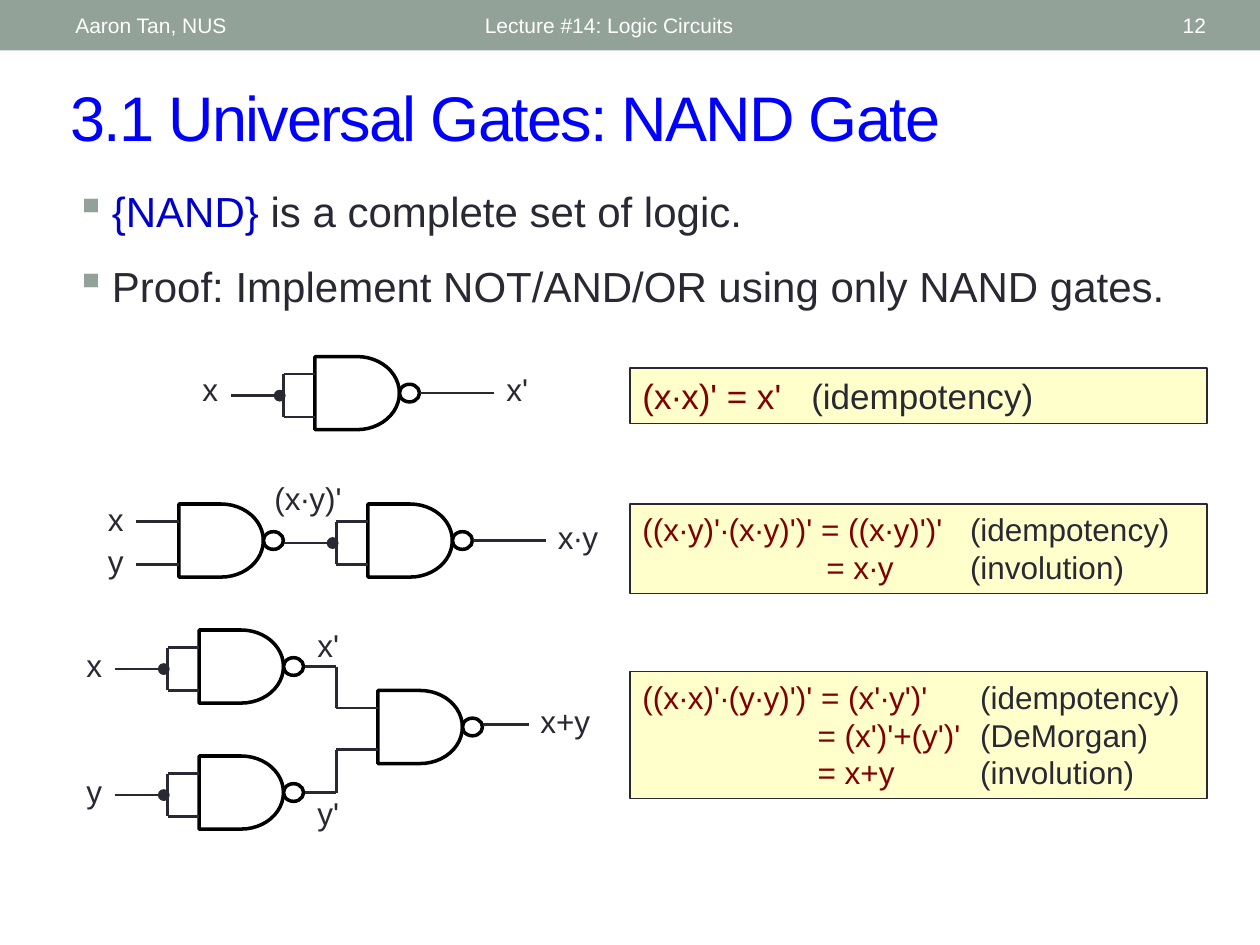
from lxml import etree
from pptx import Presentation
from pptx.dml.color import RGBColor
from pptx.enum.shapes import MSO_CONNECTOR, MSO_SHAPE
from pptx.enum.text import MSO_ANCHOR, PP_ALIGN
from pptx.oxml.ns import qn
from pptx.util import Pt

PX = 9144  # 100 px to the inch
RECT, OVAL, GATE = MSO_SHAPE.RECTANGLE, MSO_SHAPE.OVAL, MSO_SHAPE.FLOWCHART_DELAY
WIRE = MSO_CONNECTOR.STRAIGHT
LEFT, RIGHT = PP_ALIGN.LEFT, PP_ALIGN.RIGHT
TOP, MIDDLE = MSO_ANCHOR.TOP, MSO_ANCHOR.MIDDLE
HEX = {"bar": "93A299", "title": "0000FF", "set": "0000CC", "ink": "292934",
       "white": "FFFFFF", "black": "000000", "note": "FFFFCC", "math": "800000"}
RGB = {name: RGBColor.from_string(code) for name, code in HEX.items()}


def draw(host, kind, box, fill=None, line=None, width=1):
    shape = host.add_shape(kind, *[n * PX for n in box])
    shape.shadow.inherit = False
    if fill:
        shape.fill.solid()
        shape.fill.fore_color.rgb = RGB[fill]
    else:
        shape.fill.background()
    if line:
        shape.line.color.rgb = RGB[line]
        shape.line.width = Pt(width)
    else:
        shape.line.fill.background()
    return shape


def write(shape, rows, size, align=LEFT, anchor=TOP):
    """Fill a shape with rows, each a list of (text, colour) runs."""
    frame = shape.text_frame
    frame.word_wrap = True
    frame.vertical_anchor = anchor
    for i, row in enumerate(rows):
        para = frame.add_paragraph() if i else frame.paragraphs[0]
        para.alignment = align
        para.font.size = Pt(size)
        para.font.name = "Arial"
        for text, color in row:
            run = para.add_run()
            run.text = text
            run.font.color.rgb = RGB[color]
    return frame.paragraphs


deck = Presentation()
deck.slide_width, deck.slide_height = 1000 * PX, 750 * PX
slide = deck.slides.add_slide(deck.slide_layouts[6])
tree = slide.shapes

# Header and title
draw(tree, RECT, (0, 0, 1000, 40), "bar")
heads = [
    ("Aaron Tan, NUS", (50, 2, 317, 36), 12, "white", LEFT),
    ("Lecture #14: Logic Circuits", (375, 2, 450, 36), 12, "white", LEFT),
    ("12", (872, 2, 95, 36), 12, "white", RIGHT),
    ("3.1 Universal Gates: NAND Gate", (46, 57, 907, 70), 36, "title", LEFT),
]
for text, box, size, color, align in heads:
    head = tree.add_textbox(*[n * PX for n in box])
    paras = write(head, [[(text, color)]], size, align, MIDDLE)
paras[0].runs[0].font._element.set("spc", "-100") if hasattr(
    paras[0].runs[0].font, "_element") else paras[0].runs[0]._r.get_or_add_rPr().set("spc", "-100")

# Bullets
body = tree.add_textbox(50 * PX, 142 * PX, 900 * PX, 133 * PX)
points = [
    [("{NAND} ", "set"), ("is a complete set of logic.", "ink")],
    [("Proof: Implement NOT/AND/OR using only NAND gates.", "ink")],
]
for para, gap in zip(write(body, points, 24), (5, 14)):
    para.space_before = Pt(gap)
    props = para._p.get_or_add_pPr()
    props.set("marL", str(29 * PX))
    props.set("indent", str(-29 * PX))
    tint = etree.Element(qn("a:buClr"))
    etree.SubElement(tint, qn("a:srgbClr"), val=HEX["bar"])
    mark = etree.Element(qn("a:buChar"), char="▪")
    spot = props.index(props.find(qn("a:defRPr")))
    props.insert(spot, tint)
    props.insert(spot + 1, mark)

# Circuits: gates (x, y, inputs tied), wires (x1, y1, x2, y2),
# labels (text, x, y, width, align)
plans = [
    ([(250, 283, True)],
     [(333, 312, 392, 312)],
     [("x", 150, 289, 33, RIGHT), ("x'", 392, 289, 50, LEFT)]),
    ([(142, 400, False), (292, 400, True)],
     [(108, 414, 142, 414), (108, 448, 142, 448), (375, 429, 433, 429)],
     [("x", 75, 392, 33, RIGHT), ("y", 75, 425, 33, RIGHT),
      ("(x∙y)'", 208, 375, 75, LEFT), ("x∙y", 433, 406, 58, LEFT)]),
    ([(158, 500, True), (158, 600, True), (300, 548, False)],
     [(242, 529, 267, 529), (267, 529, 267, 562), (267, 562, 300, 562),
      (242, 629, 267, 629), (267, 595, 267, 629), (267, 595, 300, 595),
      (383, 575, 420, 575)],
     [("x", 58, 508, 33, RIGHT), ("y", 58, 608, 33, RIGHT),
      ("x'", 242, 492, 42, LEFT), ("y'", 242, 625, 42, LEFT),
      ("x+y", 419, 552, 67, LEFT)]),
]
for gates, wires, labels in plans:
    group = tree.add_group_shape().shapes
    ties = []
    for x, y, tied in gates:
        draw(group, GATE, (x, y, 67, 58), None, "black", 2)
        draw(group, OVAL, (x + 67, y + 22, 16, 14), None, "black", 2)
        if tied:
            bar = x - 25
            draw(group, OVAL, (x - 32, y + 27, 8, 8), "ink", "ink")
            ties += [(x - 67, y + 31, bar, y + 31), (bar, y + 14, x, y + 14),
                     (bar, y + 48, x, y + 48), (bar, y + 48, bar, y + 14)]
    for ends in ties + wires:
        wire = group.add_connector(WIRE, *[n * PX for n in ends])
        wire.line.color.rgb = RGB["ink"]
        wire.line.width = Pt(1.5)
        etree.SubElement(wire._element.spPr, qn("a:effectLst"))
    for text, x, y, width, align in labels:
        label = group.add_textbox(x * PX, y * PX, width * PX, 40 * PX)
        write(label, [[(text, "ink")]], 18, align)

# Proofs: top, height, size, tab stops, rows of (math, law)
proofs = [
    (292, 44, 20, (134,), [("(x∙x)' = x'", "(idempotency)")]),
    (400, 71, 18, (146, 260), [
        ("((x∙y)'∙(x∙y)')' = ((x∙y)')'", "(idempotency)"),
        ("\t= x∙y", "(involution)")]),
    (533, 101, 18, (139, 268), [
        ("((x∙x)'∙(y∙y)')' = (x'∙y')'", "(idempotency)"),
        ("\t= (x')'+(y')'", "(DeMorgan)"),
        ("\t= x+y", "(involution)")]),
]
for top, height, size, stops, rows in proofs:
    note = draw(tree, RECT, (500, top, 458, height), "note", "ink", 0.75)
    lines = [[(math, "math"), ("\t" + law, "ink")] for math, law in rows]
    for para in write(note, lines, size):
        props = para._p.get_or_add_pPr()
        tabs = etree.Element(qn("a:tabLst"))
        for stop in stops:
            etree.SubElement(tabs, qn("a:tab"), pos=str(stop * PX), algn="l")
        props.insert(props.index(props.find(qn("a:defRPr"))), tabs)

deck.save("out.pptx")
